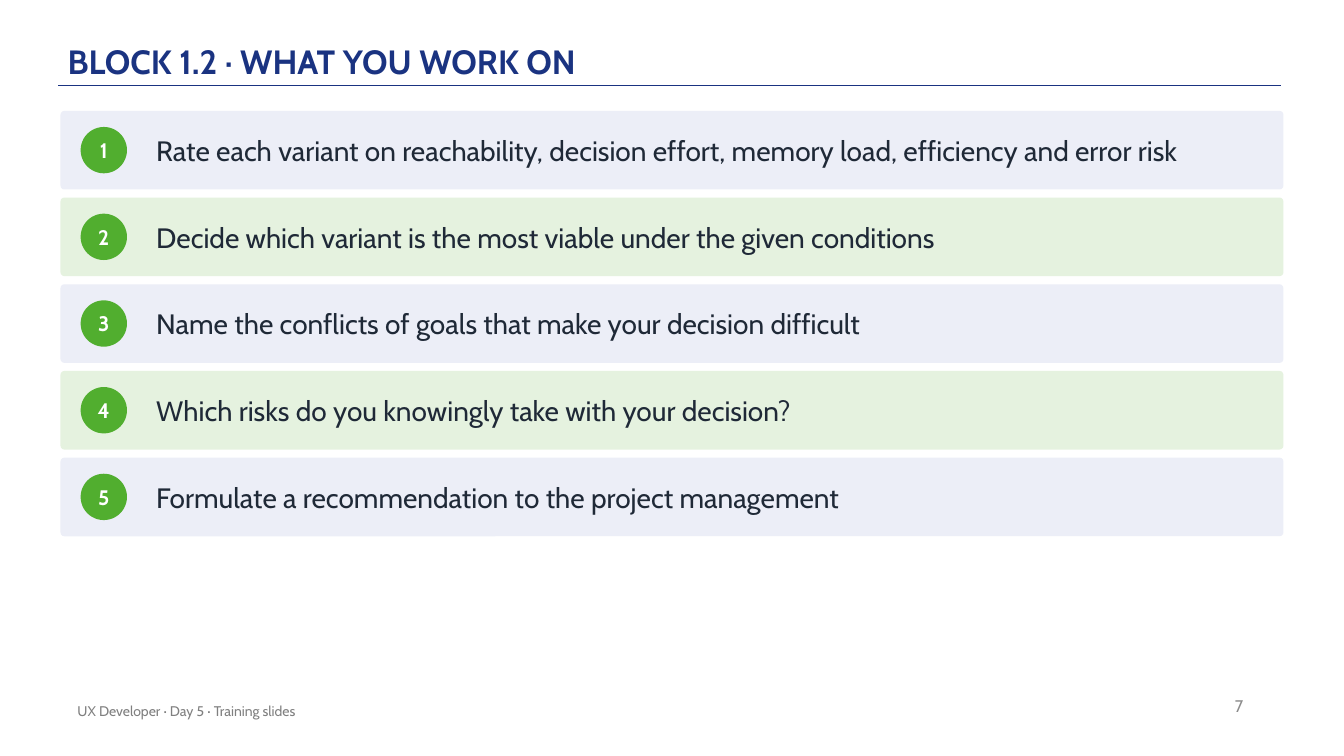
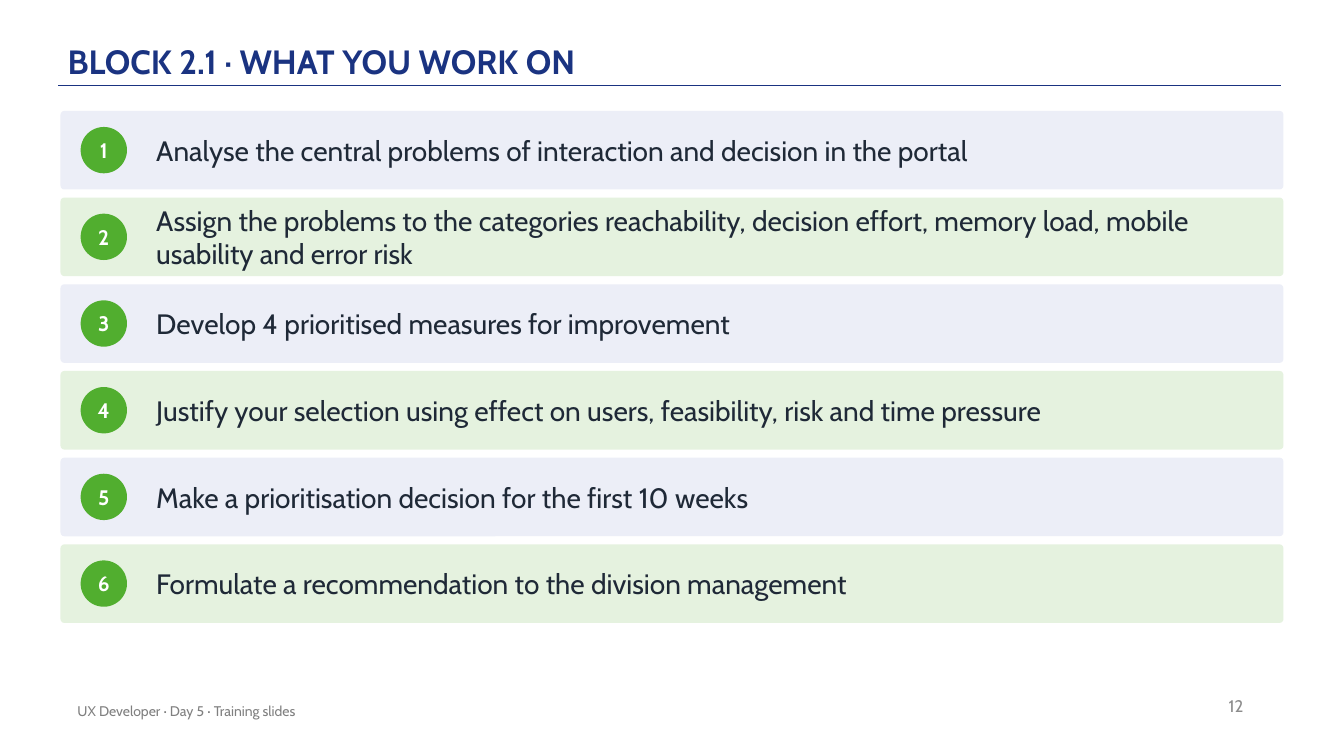
from dataclasses import dataclass

from lxml.etree import SubElement
from pptx import Presentation
from pptx.dml.color import RGBColor
from pptx.enum.shapes import MSO_CONNECTOR as Connector, MSO_SHAPE as Preset
from pptx.enum.text import MSO_ANCHOR as Anchor, PP_ALIGN as Align
from pptx.oxml.ns import qn
from pptx.util import Inches, Pt

# The grid has square cells: 75 rows fill the height of the slide.
ROWS, COLUMNS = 75, 133.3
CELL = Inches(7.5) / ROWS

BAND_LEFT, BAND_TOP = 6, 11
BAND_WIDTH, BAND_HEIGHT, BAND_GAP = 121.3, 7.8, 0.8
BADGE_LEFT, BADGE_SIZE = 8, 4.6
TASK_LEFT, TASK_WIDTH = 15.5, 109.3
RULE_LEFT, RULE_RIGHT, RULE_ROW = 5.8, 127.1, 8.5

FOOTER = "UX Developer · Day 5 · Training slides"
SLIDES = [
    ("BLOCK 1.2 · WHAT YOU WORK ON", 7, [
        "Rate each variant on reachability, decision effort, memory load, efficiency and error risk",
        "Decide which variant is the most viable under the given conditions",
        "Name the conflicts of goals that make your decision difficult",
        "Which risks do you knowingly take with your decision?",
        "Formulate a recommendation to the project management",
    ]),
    ("BLOCK 2.1 · WHAT YOU WORK ON", 12, [
        "Analyse the central problems of interaction and decision in the portal",
        "Assign the problems to the categories reachability, decision effort, memory load, "
        "mobile usability and error risk",
        "Develop 4 prioritised measures for improvement",
        "Justify your selection using effect on users, feasibility, risk and time pressure",
        "Make a prioritisation decision for the first 10 weeks",
        "Formulate a recommendation to the division management",
    ]),
]


@dataclass(frozen=True)
class Theme:
    font: str = "Cabin"
    navy: str = "1A3381"
    green: str = "51AE2F"
    white: str = "FFFFFF"
    ink: str = "1F2937"
    footer_grey: str = "808080"
    number_grey: str = "8C8C8C"
    bands: tuple = ("ECEEF7", "E5F2DF")
    title_size: int = 24
    task_size: int = 20
    badge_size: int = 15
    number_size: int = 12
    footer_size: int = 10


def cells(*counts):
    return [round(count * CELL) for count in counts]


def write(shape, text, *, font, size, color, bold=False, align=Align.LEFT,
          anchor=Anchor.MIDDLE, insets=(0, 0), line_spacing=None):
    """Set the text of a shape; insets are (sides, top and bottom) in cells."""
    frame = shape.text_frame
    frame.word_wrap = True
    frame.vertical_anchor = anchor
    sides, ends = cells(*insets)
    frame.margin_left = frame.margin_right = sides
    frame.margin_top = frame.margin_bottom = ends
    paragraph = frame.paragraphs[0]
    paragraph.alignment = align
    paragraph.line_spacing = line_spacing
    run = paragraph.add_run()
    run.text = text
    run.font.name = font
    run.font.size = Pt(size)
    run.font.bold = bold
    run.font.color.rgb = RGBColor.from_string(color)


class Deck:
    def __init__(self, theme):
        self.theme = theme
        self.presentation = Presentation()
        self.presentation.slide_width, self.presentation.slide_height = cells(COLUMNS, ROWS)
        self.slide = None

    def new_slide(self):
        self.slide = self.presentation.slides.add_slide(self.presentation.slide_layouts[6])

    def text(self, box, text, **style):
        shape = self.slide.shapes.add_textbox(*cells(*box))
        write(shape, text, font=self.theme.font, **style)

    def filled(self, preset, box, color):
        shape = self.slide.shapes.add_shape(preset, *cells(*box))
        shape.shadow.inherit = False
        shape.fill.solid()
        shape.fill.fore_color.rgb = RGBColor.from_string(color)
        shape.line.fill.background()
        return shape

    def title(self, text):
        rule = self.slide.shapes.add_connector(
            Connector.STRAIGHT, *cells(RULE_LEFT, RULE_ROW, RULE_RIGHT, RULE_ROW))
        rule.line.color.rgb = RGBColor.from_string(self.theme.navy)
        rule.line.width = Pt(1)
        SubElement(rule._element.spPr, qn("a:effectLst"))
        self.text((6.7, 1.2, 110, 7.2), text, size=self.theme.title_size,
                  color=self.theme.navy, bold=True, anchor=Anchor.BOTTOM,
                  insets=(0, 0.3), line_spacing=0.9)

    def footer(self, number):
        self.text((94.3, 68, 30, 4), str(number), size=self.theme.number_size,
                  color=self.theme.number_grey, align=Align.RIGHT, insets=(1, 0.5))
        self.text((6.7, 68.5, 67, 4), FOOTER, size=self.theme.footer_size,
                  color=self.theme.footer_grey, insets=(1, 0.5))

    def badge(self, number, top):
        circle = self.filled(Preset.OVAL, (BADGE_LEFT, top, BADGE_SIZE, BADGE_SIZE),
                             self.theme.green)
        write(circle, str(number), font=self.theme.font, size=self.theme.badge_size,
              color=self.theme.white, bold=True, align=Align.CENTER)

    def task(self, index, text):
        """Draw one numbered band, counted from 0 at the top."""
        top = BAND_TOP + index * (BAND_HEIGHT + BAND_GAP)
        bands = self.theme.bands
        band = self.filled(Preset.ROUNDED_RECTANGLE,
                           (BAND_LEFT, top, BAND_WIDTH, BAND_HEIGHT),
                           bands[index % len(bands)])
        band.adjustments[0] = 0.05
        self.badge(index + 1, top + (BAND_HEIGHT - BADGE_SIZE) / 2)
        self.text((TASK_LEFT, top, TASK_WIDTH, BAND_HEIGHT), text,
                  size=self.theme.task_size, color=self.theme.ink)


def main():
    deck = Deck(Theme())
    for title, number, tasks in SLIDES:
        deck.new_slide()
        deck.title(title)
        deck.footer(number)
        for index, task in enumerate(tasks):
            deck.task(index, task)
    deck.presentation.save("out.pptx")


if __name__ == "__main__":
    main()
